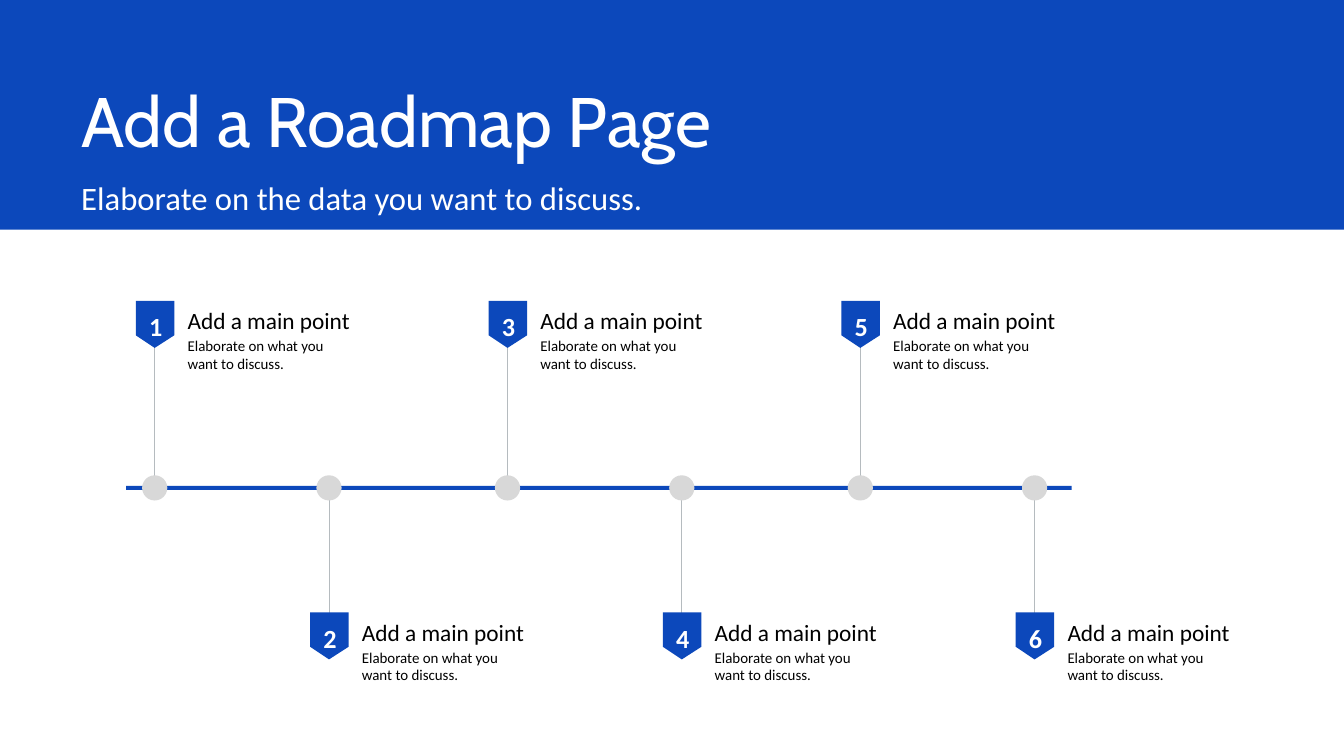
"""Build a six-step roadmap slide with flags above and below a timeline."""
from lxml.etree import SubElement
from pptx import Presentation
from pptx.dml.color import RGBColor
from pptx.enum.shapes import MSO_CONNECTOR, MSO_SHAPE
from pptx.enum.text import MSO_ANCHOR, MSO_AUTO_SIZE, PP_ALIGN
from pptx.oxml.ns import qn
from pptx.util import Pt

PX = 9525
BLUE, WHITE, BLACK = "0C48BB", "FFFFFF", "000000"
STEM_GRAY, DOT_GRAY = "B5BBBF", "D8D8D8"


def paint(shape, color):
    shape.shadow.inherit = False
    shape.fill.solid()
    shape.fill.fore_color.rgb = RGBColor.from_string(color)
    shape.line.fill.background()


def write(shape, lines, size, color, spacing, font="Calibri", bold=False):
    frame = shape.text_frame
    frame_format = {
        "margin_left": 0, "margin_top": 0, "margin_right": 0, "margin_bottom": 0,
        "word_wrap": True, "vertical_anchor": MSO_ANCHOR.TOP,
        "auto_size": MSO_AUTO_SIZE.SHAPE_TO_FIT_TEXT,
    }
    for name, value in frame_format.items():
        setattr(frame, name, value)
    frame.text = "\n".join(lines)
    for paragraph in frame.paragraphs:
        paragraph.alignment = PP_ALIGN.LEFT
        paragraph.line_spacing = spacing
        for name, value in {"name": font, "size": Pt(size), "bold": bold}.items():
            setattr(paragraph.font, name, value)
        paragraph.font.color.rgb = RGBColor.from_string(color)


presentation = Presentation()
presentation.slide_width = 1920 * PX
presentation.slide_height = 1080 * PX
slide = presentation.slides.add_slide(presentation.slide_layouts[5])
shapes = slide.shapes

title = shapes.title
for name, value in {"left": 116, "top": 87, "width": 1044, "height": 121}.items():
    setattr(title, name, value * PX)
write(title, ["Add a Roadmap Page"], 75, WHITE, 1.2, "Cabin")

band = shapes.add_shape(MSO_SHAPE.RECTANGLE, 0, 0, 1920 * PX, 328 * PX)
paint(band, BLUE)
title.element.addprevious(band.element)

subtitle = shapes.add_textbox(116 * PX, 238 * PX, 979 * PX, 57 * PX)
write(subtitle, ["Elaborate on the data you want to discuss."], 35, WHITE, 1.3)

timeline = shapes.add_shape(MSO_SHAPE.RECTANGLE, 180 * PX, 694 * PX, 1351 * PX, 6 * PX)
paint(timeline, BLUE)

for step in range(6):
    column, below = divmod(step, 2)
    center = (470 if below else 221) + 504 * column
    flag_top = 875 if below else 430
    stem_top = 699 if below else 496

    stem = shapes.add_connector(
        MSO_CONNECTOR.STRAIGHT,
        center * PX, stem_top * PX, center * PX, (stem_top + 196) * PX,
    )
    stem.line.color.rgb = RGBColor.from_string(STEM_GRAY)
    stem.line.width = Pt(1)
    SubElement(stem.element.spPr, qn("a:effectLst"))

    builder = shapes.build_freeform(center - 27, flag_top, scale=PX)
    outline = [(-27, 49), (0, 67), (28, 49), (28, 0)]
    builder.add_line_segments([(center + x, flag_top + y) for x, y in outline])
    flag = builder.convert_to_shape()
    paint(flag, BLUE)

    labels = [
        (-8, 0, 22, 46, [str(step + 1)], 28, WHITE, 1.3, True),
        (47, -4, 303, 40, ["Add a main point"], 25, BLACK, 1.3, False),
        (47, 51, 303, 52, ["Elaborate on what you", "want to discuss."],
         16, BLACK, 1.0, False),
    ]
    for x, y, width, height, lines, size, color, spacing, bold in labels:
        label = shapes.add_textbox(
            (center + x) * PX, (flag_top + y) * PX, width * PX, height * PX
        )
        write(label, lines, size, color, spacing, bold=bold)

    dot = shapes.add_shape(
        MSO_SHAPE.OVAL, (center - 18) * PX, 679 * PX, 36 * PX, 36 * PX
    )
    paint(dot, DOT_GRAY)

presentation.save("out.pptx")
